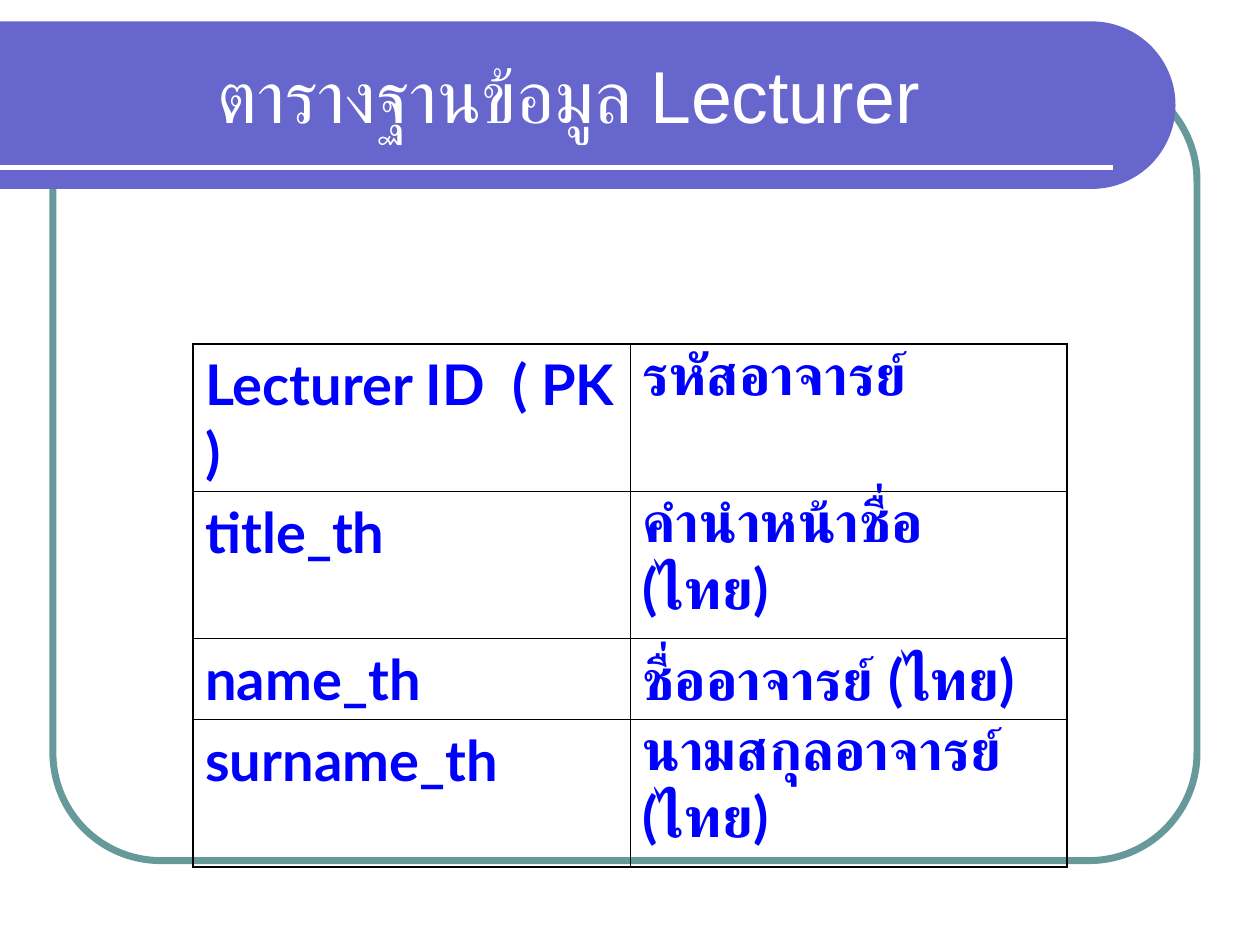
import math
from dataclasses import dataclass

from lxml import etree
from pptx import Presentation
from pptx.dml.color import RGBColor
from pptx.enum.shapes import MSO_CONNECTOR, MSO_SHAPE
from pptx.enum.text import MSO_ANCHOR, PP_ALIGN
from pptx.oxml.ns import qn
from pptx.util import Pt

PX = 9144
ROUNDED = MSO_SHAPE.ROUNDED_RECTANGLE
STRAIGHT = MSO_CONNECTOR.STRAIGHT
MIDDLE = MSO_ANCHOR.MIDDLE
TOP = MSO_ANCHOR.TOP
CENTER = PP_ALIGN.CENTER
LEFT = PP_ALIGN.LEFT


@dataclass(frozen=True)
class Theme:
    banner: RGBColor = RGBColor(0x66, 0x66, 0xCC)
    frame: RGBColor = RGBColor(0x66, 0x99, 0x99)
    white: RGBColor = RGBColor(0xFF, 0xFF, 0xFF)
    cell_text: RGBColor = RGBColor(0x00, 0x00, 0xFF)
    border: str = "000000"
    title_font: str = "Arial"
    title_size: int = 42
    cell_font: str = "Lato"
    cell_size: int = 32
    frame_width: int = 4
    rule_width: int = 3
    outer_border: float = 1.08
    inner_border: float = 0.45


THEME = Theme()
FIELDS = [
    ("Lecturer ID  ( PK )", "รหัสอาจารย์"),
    ("title_th", "คำนำหน้าชื่อ (ไทย)"),
    ("name_th", "ชื่ออาจารย์ (ไทย)"),
    ("surname_th", "นามสกุลอาจารย์ (ไทย)"),
]
ROW_HEIGHTS = [117, 117, 64, 117]


def px(*lengths):
    return [round(length * PX) for length in lengths]


def set_attributes(target, values):
    for name, value in values.items():
        setattr(target, name, value)


def write_text(text_frame, text, alignment, color, font_values):
    paragraph = text_frame.paragraphs[0]
    paragraph.alignment = alignment
    run = paragraph.add_run()
    run.text = text
    set_attributes(run.font, font_values)
    run.font.color.rgb = color


def add_frame(slide, left, top, width, height):
    frame = slide.shapes.add_shape(ROUNDED, *px(left, top, width, height))
    frame.shadow.inherit = False
    frame.adjustments[0] = 0.137
    frame.fill.background()
    frame.line.color.rgb = THEME.frame
    frame.line.width = Pt(THEME.frame_width)


def add_banner(slide, left, top, width, height):
    radius = height / 2
    center_x, center_y = left + width - radius, top + radius
    angles = [math.radians(degrees) for degrees in range(-90, 91, 3)]
    outline = [
        px(center_x + radius * math.cos(angle), center_y + radius * math.sin(angle))
        for angle in angles
    ]
    builder = slide.shapes.build_freeform(*px(left, top))
    builder.add_line_segments(outline + [px(left, top + height)], close=True)
    banner = builder.convert_to_shape()
    banner.shadow.inherit = False
    banner.fill.solid()
    banner.fill.fore_color.rgb = THEME.banner
    banner.line.fill.background()

    rule_y = top + height - 17
    rule = slide.shapes.add_connector(
        STRAIGHT, *px(left, rule_y, left + width - 50, rule_y)
    )
    rule.line.color.rgb = THEME.white
    rule.line.width = Pt(THEME.rule_width)
    etree.SubElement(rule.element.spPr, qn("a:effectLst"))


def add_title(slide, text, left, top, width, height):
    title = slide.shapes.add_textbox(*px(left, top, width, height))
    set_attributes(title.text_frame, {"word_wrap": True, "vertical_anchor": MIDDLE})
    write_text(
        title.text_frame, text, CENTER, THEME.white,
        {"name": THEME.title_font, "size": Pt(THEME.title_size)},
    )


def add_borders(cell, outer_sides):
    properties = cell._tc.get_or_add_tcPr()
    for position, (side, is_outer) in enumerate(outer_sides.items()):
        width = THEME.outer_border if is_outer else THEME.inner_border
        line = etree.Element(qn(f"a:ln{side}"), w=str(int(Pt(width))))
        fill = etree.SubElement(line, qn("a:solidFill"))
        etree.SubElement(fill, qn("a:srgbClr"), val=THEME.border)
        properties.insert(position, line)


def add_field_table(slide, left, top, width):
    row_count, column_count = len(FIELDS), len(FIELDS[0])
    table = slide.shapes.add_table(
        row_count, column_count, *px(left, top, width, sum(ROW_HEIGHTS))
    ).table
    set_attributes(table, {"first_row": False, "horz_banding": False})
    for row, height in zip(table.rows, ROW_HEIGHTS):
        row.height = px(height)[0]
    for row_index, field in enumerate(FIELDS):
        for column_index, text in enumerate(field):
            cell = table.cell(row_index, column_index)
            cell.fill.background()
            cell.vertical_anchor = TOP
            write_text(
                cell.text_frame, text, LEFT, THEME.cell_text,
                {"name": THEME.cell_font, "size": Pt(THEME.cell_size), "bold": True},
            )
            add_borders(cell, {
                "L": column_index == 0,
                "R": column_index == column_count - 1,
                "T": row_index == 0,
                "B": row_index == row_count - 1,
            })


def main():
    presentation = Presentation()
    presentation.slide_width, presentation.slide_height = px(1000, 750)
    slide = presentation.slides.add_slide(presentation.slide_layouts[6])
    add_frame(slide, 42, 58, 908, 625)
    add_banner(slide, 0, 17, 933, 133)
    add_title(slide, "ตารางฐานข้อมูล Lecturer ", 21, 25, 877, 100)
    add_field_table(slide, 153, 273, 694)
    presentation.save("out.pptx")


if __name__ == "__main__":
    main()
